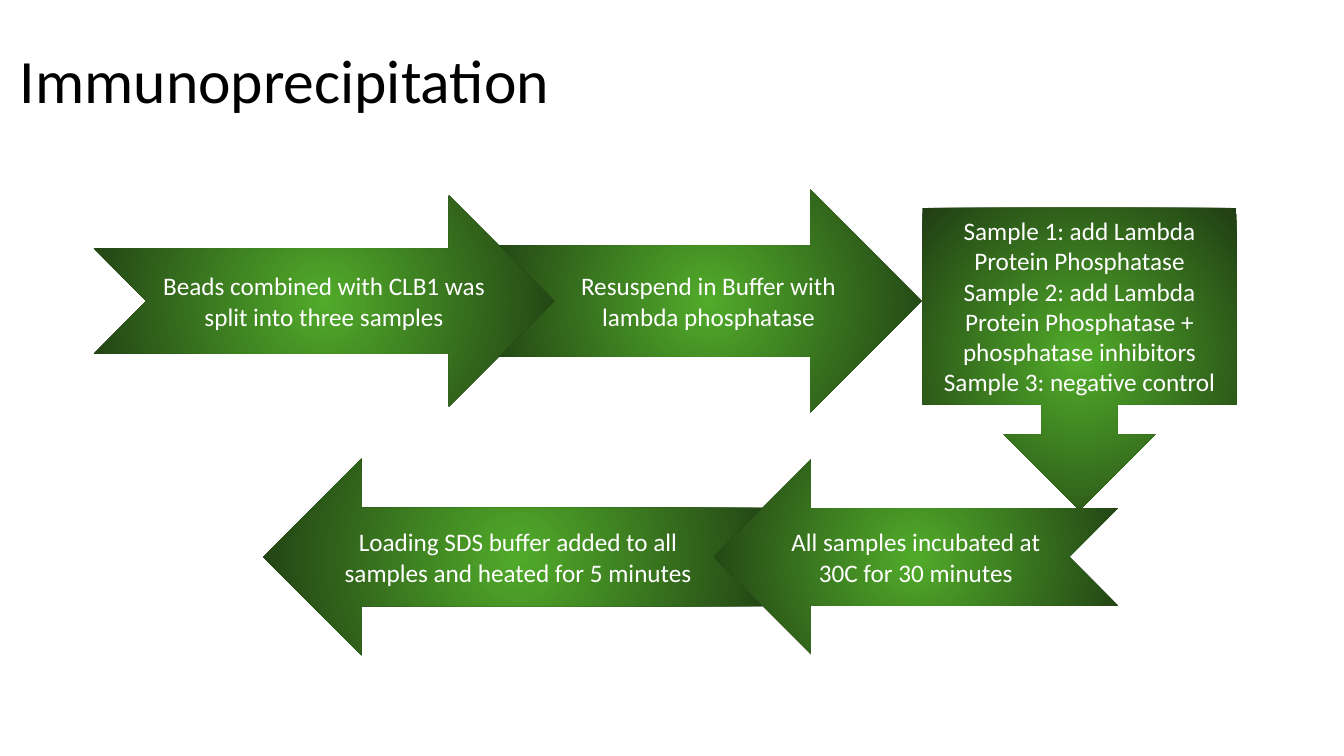
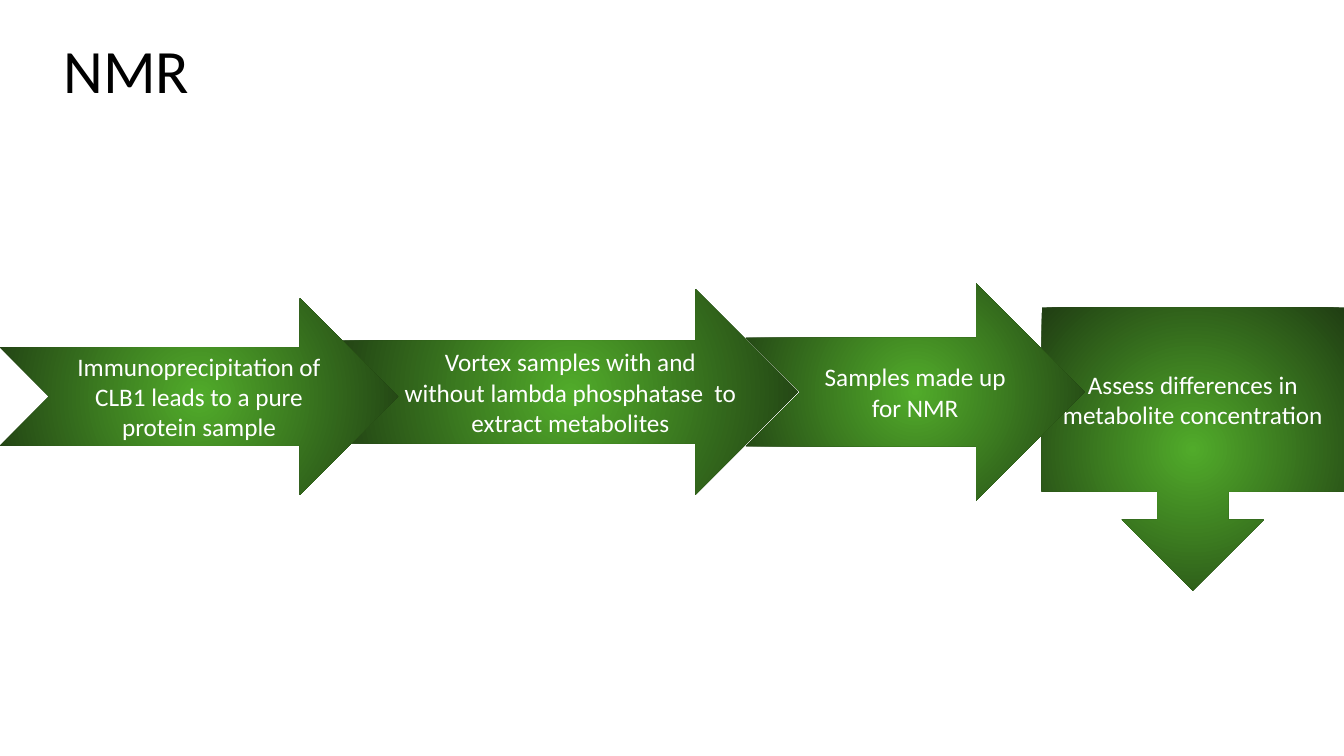
from dataclasses import dataclass

from lxml import etree
from pptx import Presentation
from pptx.dml.color import RGBColor
from pptx.enum.shapes import MSO_SHAPE
from pptx.enum.text import MSO_ANCHOR, PP_ALIGN
from pptx.oxml.ns import qn
from pptx.util import Pt

NOTCHED_ARROW = MSO_SHAPE.NOTCHED_RIGHT_ARROW
DOWN_CALLOUT = MSO_SHAPE.DOWN_ARROW_CALLOUT
MIDDLE = MSO_ANCHOR.MIDDLE
LEFT = PP_ALIGN.LEFT
CENTER = PP_ALIGN.CENTER


@dataclass(frozen=True)
class Theme:
    """Colours, fonts and type sizes that the slides share."""

    font: str = "Calibri"
    title_size: int = 44
    step_size: int = 18
    title_color: str = "000000"
    step_color: str = "FFFFFF"
    gradient: tuple = ("51AB2A", "203E13")


THEME = Theme()
SLIDE_WIDTH, SLIDE_HEIGHT = 960, 540
TITLE_WIDTH, TITLE_HEIGHT = 921.6, 104.4


def write_text(shape, text, *, size, color, align, line_spacing=1.0):
    """Fill a shape with formatted text, one paragraph per line."""
    frame = shape.text_frame
    frame.word_wrap = True
    frame.vertical_anchor = MIDDLE
    frame.text = text
    for paragraph in frame.paragraphs:
        paragraph.alignment = align
        paragraph.line_spacing = line_spacing
        paragraph.font.name = THEME.font
        paragraph.font.size = Pt(size)
        paragraph.font.color.rgb = RGBColor.from_string(color)


def fill_radial(shape):
    """Give a shape the theme gradient, spreading from its centre."""
    shape.fill.gradient()
    for stop, position, color in zip(shape.fill.gradient_stops, (0, 1), THEME.gradient):
        stop.position = position
        stop.color.rgb = RGBColor.from_string(color)
    gradient = shape.element.spPr.find(qn("a:gradFill"))
    gradient.remove(gradient.find(qn("a:lin")))
    circle = etree.SubElement(gradient, qn("a:path"), {"path": "circle"})
    sides = {side: "50000" for side in "ltrb"}
    etree.SubElement(circle, qn("a:fillToRect"), sides)


def add_title(slide, text, left, top):
    """Place the slide title in its wide box."""
    box = slide.shapes.add_textbox(Pt(left), Pt(top), Pt(TITLE_WIDTH), Pt(TITLE_HEIGHT))
    write_text(box, text, size=THEME.title_size, color=THEME.title_color,
               align=LEFT, line_spacing=0.9)


def add_step(slide, kind, text, left, top, width, height):
    """Place one step of the process as a green shape with text."""
    shape = slide.shapes.add_shape(kind, Pt(left), Pt(top), Pt(width), Pt(height))
    shape.shadow.inherit = False
    shape.line.fill.background()
    fill_radial(shape)
    write_text(shape, text, size=THEME.step_size, color=THEME.step_color, align=CENTER)
    return shape


def add_arrow(slide, text, left, middle, width, height, points_left=False):
    """Place an arrow step centred on a horizontal line."""
    arrow = add_step(slide, NOTCHED_ARROW, text, left, middle - height / 2, width, height)
    if points_left:
        arrow.element.spPr.find(qn("a:xfrm")).set("flipH", "1")


def build_immunoprecipitation(slide):
    """Draw the steps that run right, down and back to the left."""
    upper_row, lower_row = 215, 397.8
    add_arrow(slide, "Loading SDS buffer added to all samples and heated for 5 minutes",
              188, lower_row, 364.3, 140.4, points_left=True)
    add_title(slide, "Immunoprecipitation", 7.2, 7.2)
    samples = (
        "Sample 1: add Lambda Protein Phosphatase",
        "Sample 2: add Lambda Protein Phosphatase + phosphatase inhibitors",
        "Sample 3: negative control",
    )
    add_step(slide, DOWN_CALLOUT, "\n".join(samples), 658.8, 148.5, 224.6, 216)
    add_arrow(slide, "Resuspend in Buffer with lambda phosphatase",
              353.8, upper_row, 304.6, 159.1)
    add_arrow(slide, "Beads combined with CLB1 was split into three samples",
              67, upper_row, 329, 150.5)
    add_arrow(slide, "All samples incubated at 30C for 30 minutes",
              509.8, lower_row, 288.7, 139, points_left=True)


def build_nmr(slide):
    """Draw the steps that run right and end in a callout."""
    row = 280
    callout_width = 216
    add_step(slide, DOWN_CALLOUT, "Assess differences in metabolite concentration",
             SLIDE_WIDTH - callout_width, 219.6, callout_width, 202.3)
    add_title(slide, "NMR", 38.2, 0)
    add_arrow(slide, "Vortex samples with and without lambda phosphatase  to extract metabolites",
              244.8, row, 325.4, 146.9)
    add_arrow(slide, "Samples made up for NMR", 532.8, row, 241.9, 154.8)
    add_arrow(slide, "Immunoprecipitation of CLB1 leads to a pure protein sample",
              0, row + 3.3, 284.4, 140.4)


def main():
    """Build and save the presentation."""
    presentation = Presentation()
    presentation.slide_width = Pt(SLIDE_WIDTH)
    presentation.slide_height = Pt(SLIDE_HEIGHT)
    blank_layout = presentation.slide_layouts[6]
    for build in (build_immunoprecipitation, build_nmr):
        build(presentation.slides.add_slide(blank_layout))
    presentation.save("out.pptx")


if __name__ == "__main__":
    main()
